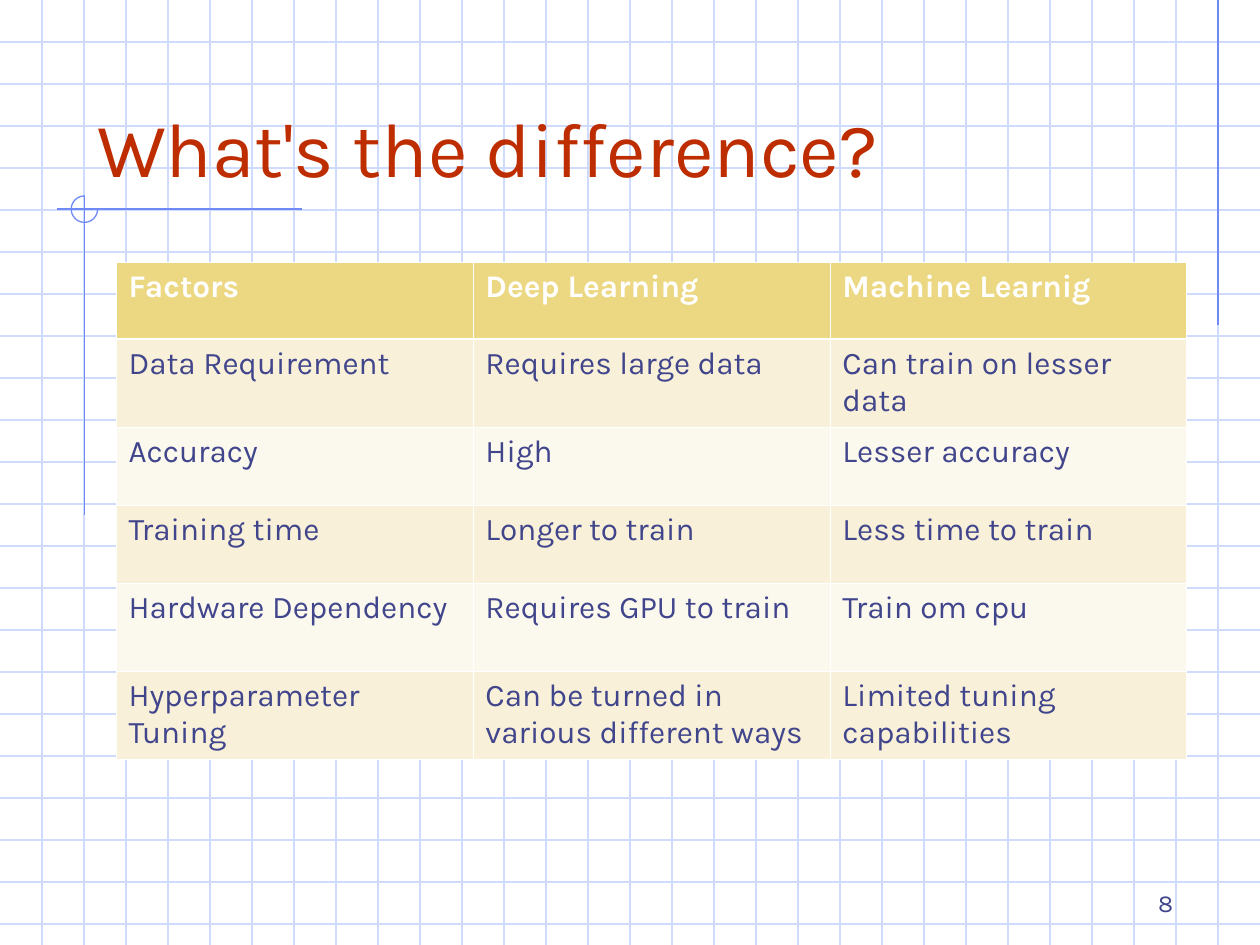
from lxml.etree import SubElement
from pptx import Presentation
from pptx.dml.color import RGBColor
from pptx.enum.shapes import MSO_CONNECTOR, MSO_SHAPE
from pptx.enum.text import MSO_ANCHOR, MSO_AUTO_SIZE, PP_ALIGN
from pptx.oxml import parse_xml
from pptx.oxml.ns import nsdecls, qn
from pptx.util import Inches, Pt

WIDTH, HEIGHT = 10, 7.5
GRID_STEP = 1 / 3
GRID, ACCENT, INK, RED, WHITE = "CFDBFD", "6F89F7", "40458C", "BE2D00", "FFFFFF"
HEADER_FILL, BAND_FILLS = "ECD882", ("F8F0D8", "FBF8ED")
ROW_HEIGHTS = (0.61, 0.7, 0.62, 0.62, 0.7, 0.7)
COMPARISON = (
    ("Factors", "Deep Learning", "Machine Learnig"),
    ("Data Requirement", "Requires large data", "Can train on lesser data"),
    ("Accuracy", "High", "Lesser accuracy"),
    ("Training time", "Longer to train", "Less time to train"),
    ("Hardware Dependency", "Requires GPU to train", "Train om cpu"),
    ("Hyperparameter Tuning", "Can be turned in various different ways",
     "Limited tuning capabilities"),
)


def rgb(value):
    return RGBColor.from_string(value)


def write_text(frame, text, size=18, color=INK, bold=False, align=PP_ALIGN.LEFT,
               anchor=MSO_ANCHOR.TOP):
    frame.word_wrap = True
    frame.vertical_anchor = anchor
    paragraph = frame.paragraphs[0]
    paragraph.alignment = align
    run = paragraph.add_run()
    run.text = text
    run.font.name = "Karla"
    run.font.size = Pt(size)
    run.font.bold = bold
    run.font.color.rgb = rgb(color)


def add_line(slide, x1, y1, x2, y2, color):
    line = slide.shapes.add_connector(
        MSO_CONNECTOR.STRAIGHT, Inches(x1), Inches(y1), Inches(x2), Inches(y2))
    line.line.color.rgb = rgb(color)
    line.line.width = Pt(0.75)
    SubElement(line._element.spPr, qn("a:effectLst"))


def add_grid(slide, left, top, width, height):
    for index in range(1, int(height / GRID_STEP) + 1):
        y = top + index * GRID_STEP
        add_line(slide, left, y, left + width, y, GRID)
    for index in range(1, round(width / GRID_STEP)):
        x = left + index * GRID_STEP
        add_line(slide, x, top, x, top + height, GRID)


def add_accents(slide, left, top, width, height):
    # Rule at the right edge
    right = left + width - GRID_STEP
    add_line(slide, right, top, right, top + 2.58, ACCENT)
    # Crossing rules with an open circle under the title
    center_x, center_y, radius = left + 0.67, top + 1.66, 0.105
    add_line(slide, left + 2.4, center_y, left + 0.45, center_y, ACCENT)
    add_line(slide, center_x, top + 1.55, center_x, top + 4.09, ACCENT)
    arc = slide.shapes.add_shape(
        MSO_SHAPE.ARC, Inches(center_x - radius), Inches(center_y - radius),
        Inches(2 * radius), Inches(2 * radius))
    arc.adjustments[0] = 0
    arc.adjustments[1] = 162  # 270 degrees, in units of 100000/60000 degree
    arc.fill.background()
    arc.line.color.rgb = rgb(ACCENT)
    arc.line.width = Pt(0.75)
    arc.shadow.inherit = False


def place_title(slide, left, top, width, height):
    title = slide.shapes.title
    slide.shapes._spTree.append(title._element)  # in front of the grid
    title.left, title.top = Inches(left), Inches(top)
    title.width, title.height = Inches(width), Inches(height)
    title.text_frame.auto_size = MSO_AUTO_SIZE.NONE
    write_text(title.text_frame, "What's the difference?", size=44, color=RED,
               anchor=MSO_ANCHOR.BOTTOM)


def add_page_number(slide, left, top, width, height):
    box = slide.shapes.add_textbox(
        Inches(left), Inches(top), Inches(width), Inches(height))
    write_text(box.text_frame, "8", size=14, align=PP_ALIGN.RIGHT,
               anchor=MSO_ANCHOR.BOTTOM)


def set_borders(cell, widths):
    properties = cell._tc.get_or_add_tcPr()
    for index, (side, width) in enumerate(widths.items()):
        properties.insert(index, parse_xml(
            f'<a:ln{side} {nsdecls("a")} w="{Pt(width)}"><a:solidFill>'
            f'<a:srgbClr val="{WHITE}"/></a:solidFill></a:ln{side}>'))


def add_comparison(slide, left, top, width, height):
    table = slide.shapes.add_table(
        len(COMPARISON), len(COMPARISON[0]), Inches(left), Inches(top),
        Inches(width), Inches(height)).table
    for row_index, texts in enumerate(COMPARISON):
        table.rows[row_index].height = Inches(ROW_HEIGHTS[row_index])
        header = row_index == 0
        fill = HEADER_FILL if header else BAND_FILLS[(row_index - 1) % 2]
        borders = {"L": 0.45, "R": 0.45,
                   "T": 1.47 if row_index == 1 else 0.45,
                   "B": 1.47 if header else 0.45}
        for column_index, text in enumerate(texts):
            cell = table.cell(row_index, column_index)
            cell.fill.solid()
            cell.fill.fore_color.rgb = rgb(fill)
            set_borders(cell, borders)
            write_text(cell.text_frame, text, bold=header,
                       color=WHITE if header else INK)


def main():
    presentation = Presentation()
    presentation.slide_width = Inches(WIDTH)
    presentation.slide_height = Inches(HEIGHT)
    slide = presentation.slides.add_slide(presentation.slide_layouts[5])
    slide.background.fill.solid()
    slide.background.fill.fore_color.rgb = rgb(WHITE)
    add_grid(slide, 0, 0, WIDTH, HEIGHT)
    add_accents(slide, 0, 0, WIDTH, HEIGHT)
    place_title(slide, 0.67, 0.33, 8.5, 1.25)
    add_page_number(slide, 7.33, 6.83, 2.08, 0.5)
    add_comparison(slide, 0.92, 2.08, 8.5, sum(ROW_HEIGHTS))
    presentation.save("out.pptx")


if __name__ == "__main__":
    main()
